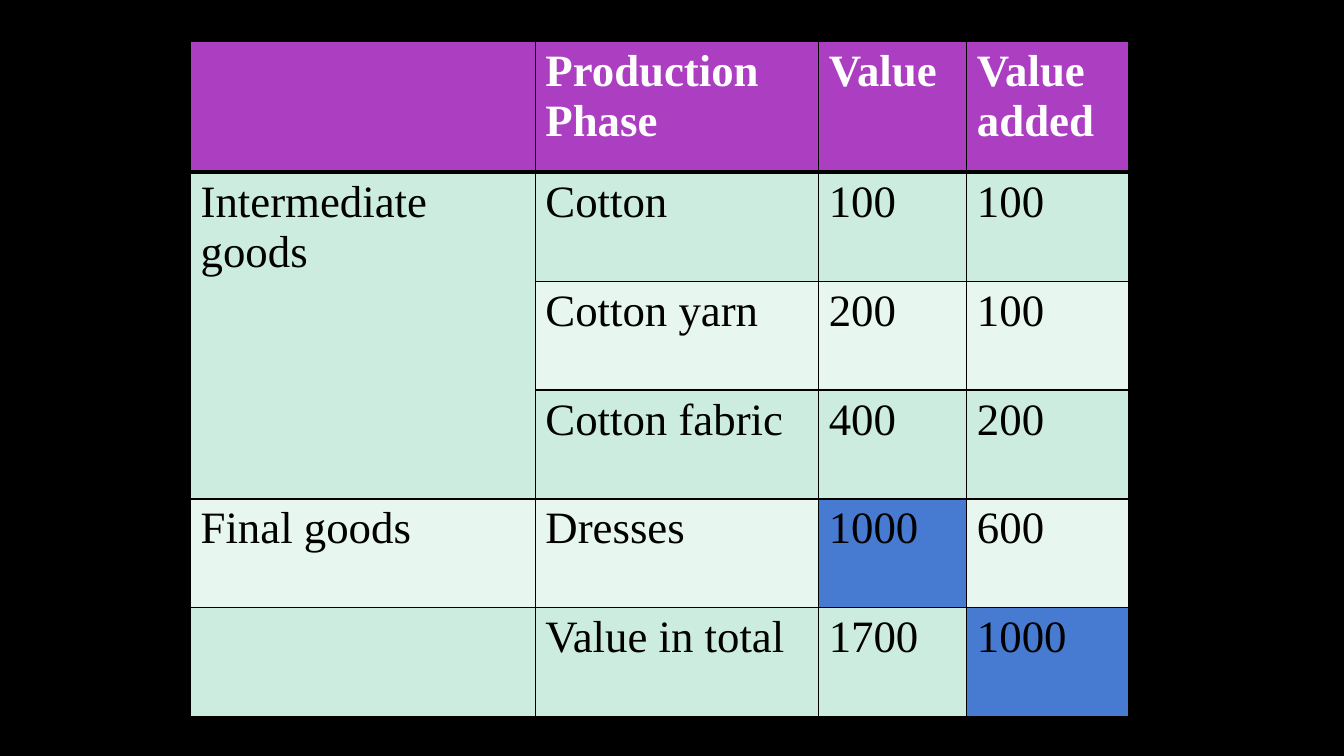
from dataclasses import dataclass

from lxml import etree
from pptx import Presentation
from pptx import util as u
from pptx.dml.color import RGBColor
from pptx.oxml import ns
from pptx.table import _Cell as Cell

BLACK = RGBColor(0x00, 0x00, 0x00)
WHITE = RGBColor(0xFF, 0xFF, 0xFF)
PURPLE = RGBColor(0xAC, 0x3E, 0xC1)
MINT = RGBColor(0xCB, 0xEC, 0xDE)
PALE = RGBColor(0xE7, 0xF6, 0xEF)
BLUE = RGBColor(0x47, 0x7B, 0xD1)

FONT = "Times New Roman"
WIDTHS = (3.42, 2.81, 1.47, 1.6)
HEIGHTS = (1.3,) + (1.08,) * 5


@dataclass
class Row:
    group: str
    phase: str
    value: str
    added: str
    mark: int = -1  # column shown in blue

    def cells(self) -> tuple[str, ...]:
        return self.group, self.phase, self.value, self.added


ROWS = (
    Row("", "Production Phase", "Value", "Value added"),
    Row("Intermediate goods", "Cotton", "100", "100"),
    Row("", "Cotton yarn", "200", "100"),
    Row("", "Cotton fabric", "400", "200"),
    Row("Final goods", "Dresses", "1000", "600", mark=2),
    Row("", "Value in total", "1700", "1000", mark=3),
)


def write(cell: Cell, words: str, *, size: int = 32, bold: bool = False,
          color: RGBColor = BLACK) -> None:
    run = cell.text_frame.paragraphs[0].add_run()
    run.text = words
    font = run.font
    font.name, font.size, font.bold = FONT, u.Pt(size), bold
    font.color.rgb = color


def border(cell: Cell, top: int = 1, bottom: int = 1) -> None:
    props = cell._tc.get_or_add_tcPr()
    for side, width in (("L", 1), ("R", 1), ("T", top), ("B", bottom)):
        line = etree.SubElement(props, ns.qn(f"a:ln{side}"), w=str(u.Pt(width)))
        fill = etree.SubElement(line, ns.qn("a:solidFill"))
        etree.SubElement(fill, ns.qn("a:srgbClr"), val=str(BLACK))


def paint(cell: Cell, color: RGBColor) -> None:
    cell.fill.solid()
    cell.fill.fore_color.rgb = color


def main() -> None:
    deck = Presentation()
    deck.slide_width, deck.slide_height = u.Inches(13.33), u.Inches(7.5)
    slide = deck.slides.add_slide(deck.slide_layouts[6])
    slide.background.fill.solid()
    slide.background.fill.fore_color.rgb = BLACK

    # Table frame
    table = slide.shapes.add_table(
        len(ROWS), len(WIDTHS), u.Inches(1.89), u.Inches(0.41),
        u.Inches(sum(WIDTHS)), u.Inches(sum(HEIGHTS))).table
    for col, width in zip(table.columns, WIDTHS):
        col.width = u.Inches(width)
    for line, height in zip(table.rows, HEIGHTS):
        line.height = u.Inches(height)

    # Cells: purple header, then alternating bands
    for r, row in enumerate(ROWS):
        head = r == 0
        band = PURPLE if head else MINT if r % 2 else PALE
        for c, words in enumerate(row.cells()):
            cell = table.cell(r, c)
            border(cell, top=3 if r == 1 else 1, bottom=3 if head else 1)
            paint(cell, BLUE if c == row.mark else band)
            if words:
                write(cell, words, bold=head, color=WHITE if head else BLACK)

    # Intermediate goods span three phases
    table.cell(1, 0).merge(table.cell(3, 0))
    deck.save("out.pptx")


if __name__ == "__main__":
    main()
